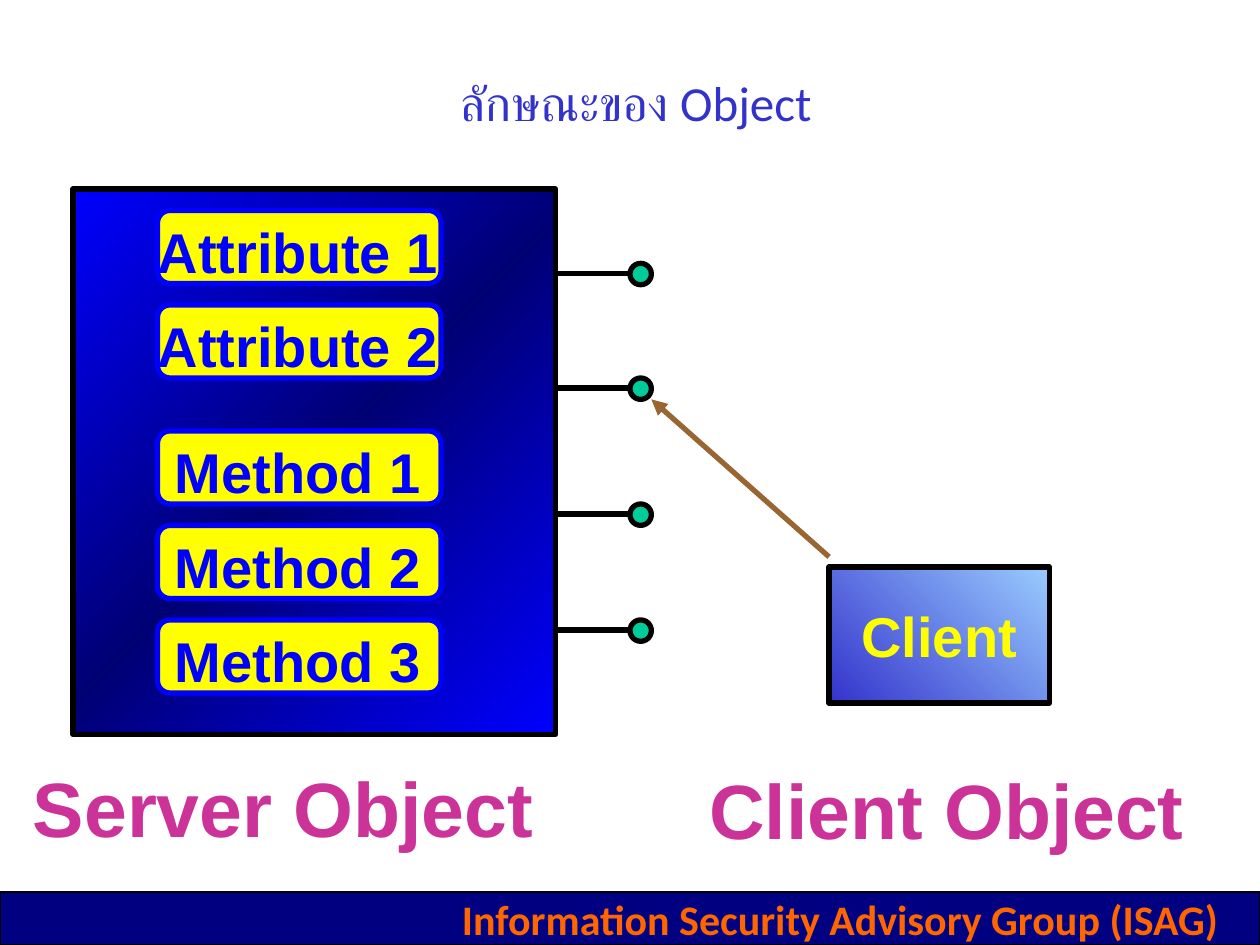
from lxml import etree
from pptx import Presentation
from pptx.dml.color import RGBColor
from pptx.enum.dml import MSO_THEME_COLOR
from pptx.enum.shapes import MSO_CONNECTOR, MSO_SHAPE
from pptx.enum.text import MSO_ANCHOR, PP_ALIGN
from pptx.oxml.ns import qn
from pptx.util import Inches, Pt

RECT, ROUNDED, OVAL = MSO_SHAPE.RECTANGLE, MSO_SHAPE.ROUNDED_RECTANGLE, MSO_SHAPE.OVAL
STRAIGHT = MSO_CONNECTOR.STRAIGHT
MIDDLE = MSO_ANCHOR.MIDDLE
CENTER, RIGHT = PP_ALIGN.CENTER, PP_ALIGN.RIGHT
COLORS = {
    "black": "000000", "navy": "000080", "orange": "FF6600", "title": "3333CC",
    "blue": "0000FF", "dark": "000075", "yellow": "FFFF00", "green": "00CC99",
    "pink": "CC3399", "sky": "99CCFF", "brown": "996633",
}
MEMBERS = {"Attribute 1": 1.67, "Attribute 2": 2.42,
           "Method 1": 3.42, "Method 2": 4.17, "Method 3": 4.92}
PORTS = (2.17, 3.08, 4.08, 5)
MEMBER_TEXT = {"size": Pt(32), "name": "Arial", "bold": True}
CAPTION_TEXT = {"size": Pt(44), "name": "Arial", "bold": True}
FOOTER_TEXT = {"size": Pt(24), "name": "Calibri", "bold": True}
TITLE_TEXT = {"size": Pt(28), "name": "Calibri", "bold": False}


def color(name):
    """Return the named colour."""
    return RGBColor.from_string(COLORS[name])


def write_text(shape, text, ink, values, align=CENTER, wrap=False):
    """Write one formatted, vertically centred paragraph into a shape."""
    frame = shape.text_frame
    frame.word_wrap = wrap
    frame.vertical_anchor = MIDDLE
    para = frame.paragraphs[0]
    para.alignment = align
    span = para.add_run()
    span.text = text
    for key, value in values.items():
        setattr(span.font, key, value)
    span.font.color.rgb = color(ink)


def add_label(page, area, text, ink, values, **layout):
    """Add a text box and return it."""
    box = page.shapes.add_textbox(*map(Inches, area))
    write_text(box, text, ink, values, **layout)
    return box


def add_block(page, kind, area, fill=None, outline="black", width=3):
    """Add an outlined shape without shadow and return it."""
    shape = page.shapes.add_shape(kind, *map(Inches, area))
    shape.shadow.inherit = False
    shape.line.color.rgb = color(outline)
    shape.line.width = Pt(width)
    if fill:
        shape.fill.solid()
        shape.fill.fore_color.rgb = color(fill)
    return shape


def set_gradient(shape, names, angle):
    """Fill a shape with evenly spaced gradient colours."""
    shape.fill.gradient()
    shape.fill.gradient_angle = angle
    stops = shape._element.spPr.find(".//" + qn("a:gsLst"))
    for stop in list(stops):
        stops.remove(stop)
    for index, name in enumerate(names):
        position = 100000 * index // (len(names) - 1)
        stop = etree.SubElement(stops, qn("a:gs"), pos=str(position))
        etree.SubElement(stop, qn("a:srgbClr"), val=COLORS[name])


def add_line(page, start, end, ink="black", arrow=False):
    """Add a straight line, with an arrowhead at its end if asked."""
    line = page.shapes.add_connector(STRAIGHT, *map(Inches, (*start, *end)))
    line.line.color.rgb = color(ink)
    line.line.width = Pt(3)
    if arrow:
        etree.SubElement(line.line._get_or_add_ln(), qn("a:tailEnd"), type="triangle")
    etree.SubElement(line._element.spPr, qn("a:effectLst"))


def add_footer(page):
    """Add the bar along the bottom with the group name."""
    add_block(page, RECT, (0, 7.08, 10, 0.42), "navy", width=0.75)
    box = add_label(page, (0, 7.08, 10, 0.42), "Information Security Advisory Group (ISAG)",
                    "orange", FOOTER_TEXT, align=RIGHT, wrap=True)
    box.text_frame.margin_right = Inches(0.33)


def add_title(page):
    """Place and format the title placeholder."""
    title = page.shapes.title
    title.left, title.top, title.width, title.height = map(Inches, (2.17, 0.42, 5.75, 0.78))
    write_text(title, "ลักษณะของ Object", "title", TITLE_TEXT)


def add_server(page):
    """Add the server block with its ports and members."""
    server = add_block(page, RECT, (0.58, 1.5, 3.83, 4.33))
    set_gradient(server, ("blue", "dark", "blue"), 315)
    for y in PORTS:
        add_line(page, (4.42, y), (5, y))
        add_block(page, OVAL, (5, y - 0.08, 0.17, 0.17), "green")
    for name, top in MEMBERS.items():
        member = add_block(page, ROUNDED, (1.25, top, 2.25, 0.58), "yellow", "blue")
        member.adjustments[0] = 0.17
        add_label(page, (1.05, top, 2.63, 0.64), name, "blue", MEMBER_TEXT)
    add_label(page, (0.09, 5.98, 4.32, 0.84), "Server Object", "pink", CAPTION_TEXT)


def add_client(page):
    """Add the client block and its call to the server."""
    client = add_block(page, RECT, (6.58, 4.5, 1.75, 1.08))
    set_gradient(client, ("sky", "title"), 225)
    write_text(client, "Client", "yellow", MEMBER_TEXT)
    add_label(page, (5.44, 6, 4.15, 0.84), "Client Object", "pink", CAPTION_TEXT)
    add_line(page, (6.58, 4.42), (5.17, 3.17), "brown", arrow=True)


def main():
    """Build the slide and save it."""
    deck = Presentation()
    deck.slide_width, deck.slide_height = Inches(10), Inches(7.5)
    page = deck.slides.add_slide(deck.slide_layouts[5])
    page.background.fill.solid()
    page.background.fill.fore_color.theme_color = MSO_THEME_COLOR.BACKGROUND_1
    add_footer(page)
    add_title(page)
    add_server(page)
    add_client(page)
    deck.save("out.pptx")


if __name__ == "__main__":
    main()
